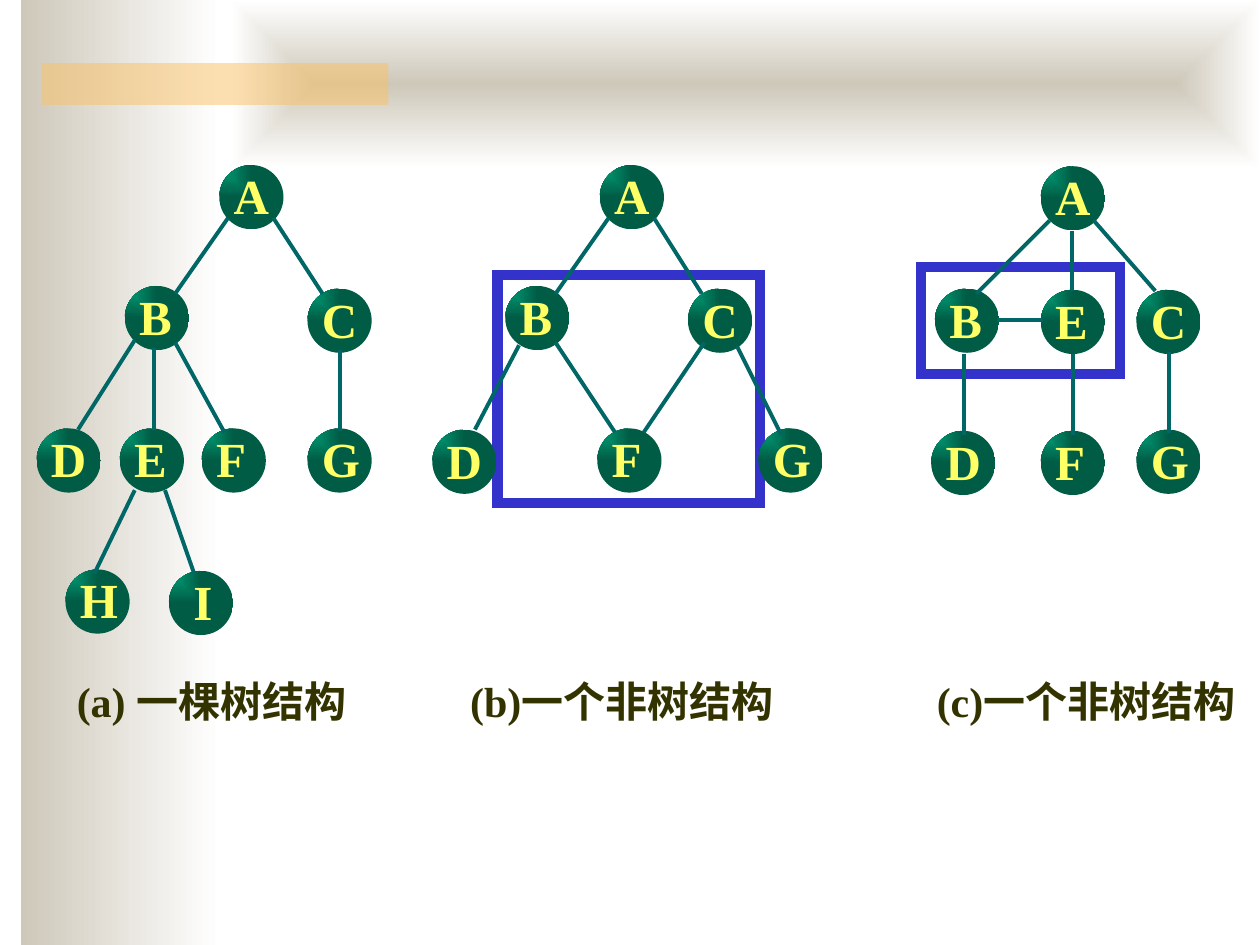
from dataclasses import dataclass

from lxml import etree
from pptx import Presentation
from pptx import util as u
from pptx.dml import color
from pptx.enum import shapes, text
from pptx.oxml import ns


@dataclass(frozen=True)
class Theme:
    sand: str = "CEC8BA"
    white: str = "FFFFFF"
    accent: str = "FAC164"
    frame: str = "3333CC"
    node_light: str = "00A37A"
    node_dark: str = "005C45"
    letter: str = "FFFF66"
    edge: str = "006666"
    caption: str = "333300"
    font: str = "Times New Roman"
    node_size: float = 28
    caption_size: float = 24


def rgb(value):
    return color.RGBColor.from_string(value)


def apply(target, values):
    for name, value in values.items():
        setattr(target, name, value)


def add_xml(parent, tag, **attributes):
    return etree.SubElement(parent, ns.qn(tag), attributes)


class SlideBuilder:
    NODE = 36.7

    def __init__(self, slide, theme):
        self.slide, self.theme = slide, theme

    def shape(self, box, kind=shapes.MSO_SHAPE.RECTANGLE, parent=None):
        item = (parent or self.slide).shapes.add_shape(kind, *map(u.Pt, box))
        item.shadow.inherit = False
        item.line.fill.background()
        return item

    def gradient(self, item, start, end, form=None, focus=None):
        item.fill.gradient()
        for stop, value in zip(item.fill.gradient_stops, (start, end)):
            stop.color.rgb = rgb(value)
        if form is None:
            item.fill.gradient_angle = 0
            return
        # Radiate from the focus instead of along a line
        grad = item._element.spPr.find(ns.qn("a:gradFill"))
        grad.remove(grad.find(ns.qn("a:lin")))
        radial = add_xml(grad, "a:path", path=form)
        add_xml(radial, "a:fillToRect", **dict(zip("ltrb", focus)))

    def panel(self, box, form=None, focus=None):
        self.gradient(self.shape(box), self.theme.sand, self.theme.white, form, focus)

    def accent_bar(self, box):
        bar = self.shape(box)
        bar.fill.solid()
        bar.fill.fore_color.rgb = rgb(self.theme.accent)
        add_xml(bar._element.spPr.find(".//" + ns.qn("a:srgbClr")), "a:alpha", val="50000")

    def frame(self, box):
        outline = self.shape(box)
        outline.fill.background()
        outline.line.color.rgb = rgb(self.theme.frame)
        outline.line.width = u.Pt(6)
        add_xml(outline.line._ln, "a:miter", lim="800000")

    def label(self, item, words, size, value, insets, spacing=None, tabs=()):
        left, top, right, bottom = map(u.Pt, insets)
        apply(item.text_frame, dict(
            word_wrap=True, vertical_anchor=text.MSO_ANCHOR.TOP,
            margin_left=left, margin_top=top, margin_right=right, margin_bottom=bottom))
        paragraph = item.text_frame.paragraphs[0]
        apply(paragraph, dict(alignment=text.PP_ALIGN.LEFT, line_spacing=spacing))
        if tabs:
            stops = add_xml(paragraph._p.get_or_add_pPr(), "a:tabLst")
            for position in tabs:
                add_xml(stops, "a:tab", pos=str(u.Pt(position)), algn="l")
        run = paragraph.add_run()
        run.text = words
        apply(run.font, dict(name=self.theme.font, size=u.Pt(size), bold=True))
        run.font.color.rgb = rgb(value)

    def captions(self, box, labels, tabs):
        line = self.slide.shapes.add_textbox(*map(u.Pt, box))
        self.label(line, "\t".join(labels), self.theme.caption_size,
                   self.theme.caption, (1.4, 0.7, 1.4, 0.7), tabs=tabs)

    def node(self, tree, letter, x, y):
        ball = self.shape((x, y, self.NODE, self.NODE), shapes.MSO_SHAPE.OVAL, tree)
        self.gradient(ball, self.theme.node_light, self.theme.node_dark,
                      "rect", ("0", "0", "100000", "100000"))
        inset = 8.6 if letter == "I" else 2.9  # centres the narrow letter
        self.label(ball, letter, self.theme.node_size, self.theme.letter,
                   (inset, 1.4, 2.9, 2.9), spacing=0.8)

    def edge(self, tree, ends):
        branch = tree.shapes.add_connector(shapes.MSO_CONNECTOR.STRAIGHT, *map(u.Pt, ends))
        branch.line.color.rgb = rgb(self.theme.edge)
        branch.line.width = u.Pt(2.25)
        add_xml(branch._element.spPr, "a:effectLst")

    def tree(self, nodes, edges):
        group = self.slide.shapes.add_group_shape()
        for letter, place in nodes.items():
            self.node(group, letter, *place)
        for ends in edges.values():
            self.edge(group, ends)


# Node corners by letter, and edge ends by parent and child
TREE_A = (
    dict(A=(125.3, 94.3), C=(175.7, 164.9), B=(71.3, 163.4), G=(175.7, 244.8),
         F=(115.2, 244.8), E=(68.4, 244.8), D=(20.9, 244.8), H=(37.4, 325.4),
         I=(96.5, 326.2)),
    dict(AB=(130.3, 124.6, 100.1, 167.8), AC=(156.2, 124.6, 184.3, 167.8),
         CG=(194.4, 200.2, 194.4, 246.2), BE=(87.8, 198.7, 87.8, 245.5),
         BF=(100.1, 195.8, 128.2, 247), EI=(94.3, 280.1, 110.9, 327.6),
         BD=(77, 194.4, 44.6, 245.5), EH=(77, 280.1, 54, 327.6)),
)
GRAPH_B = (
    dict(A=(342.7, 94.3), C=(393.1, 164.9), B=(288.7, 163.4), G=(433.4, 244.8),
         F=(341.3, 244.8), D=(247, 245.5)),
    dict(AB=(347.8, 124.6, 317.5, 167.8), AC=(373.7, 124.6, 401, 167.8),
         BF=(317.5, 195.8, 351.4, 247), BD=(296.6, 197.3, 271.4, 245.5),
         CG=(421.2, 198, 446.4, 248.4), CF=(402.5, 195.8, 367.9, 247)),
)
GRAPH_C = (
    dict(A=(594.7, 95), C=(649.4, 165.6), B=(534.2, 164.9), G=(649.4, 245.5),
         F=(594.7, 246.2), D=(532.1, 246.2), E=(594.7, 165.6)),
    dict(AB=(599.8, 126, 558, 167.8), AC=(625, 126, 660.2, 166.3),
         CG=(668.2, 200.9, 668.2, 247.7), AE=(612.7, 131.8, 612.7, 166.3),
         EF=(613.4, 202.3, 613.4, 248.4), BD=(550.8, 202.3, 550.8, 248.4),
         EB=(596.2, 182.9, 569.5, 182.9)),
)


def main():
    deck = Presentation()
    apply(deck, dict(slide_width=u.Pt(720), slide_height=u.Pt(540)))
    builder = SlideBuilder(deck.slides.add_slide(deck.slide_layouts[6]), Theme())

    # Background decoration
    builder.panel((12, 0, 114, 540))
    builder.panel((132, 0, 588, 96), "shape", ("50000",) * 4)
    builder.accent_bar((24, 36, 198, 24))

    # Frames around the parts that break the tree rule
    builder.frame((284.4, 157, 149.8, 130.3))
    builder.frame((526.3, 152.6, 113.8, 61.2))

    # Captions
    builder.captions((42.5, 385.2, 677.5, 39.6),
                     ("(a) 一棵树结构", "(b)一个非树结构", "(c)一个非树结构"),
                     tabs=(224.8, 491.4))

    # Structures
    for nodes, edges in (TREE_A, GRAPH_B, GRAPH_C):
        builder.tree(nodes, edges)

    deck.save("out.pptx")


if __name__ == "__main__":
    main()
